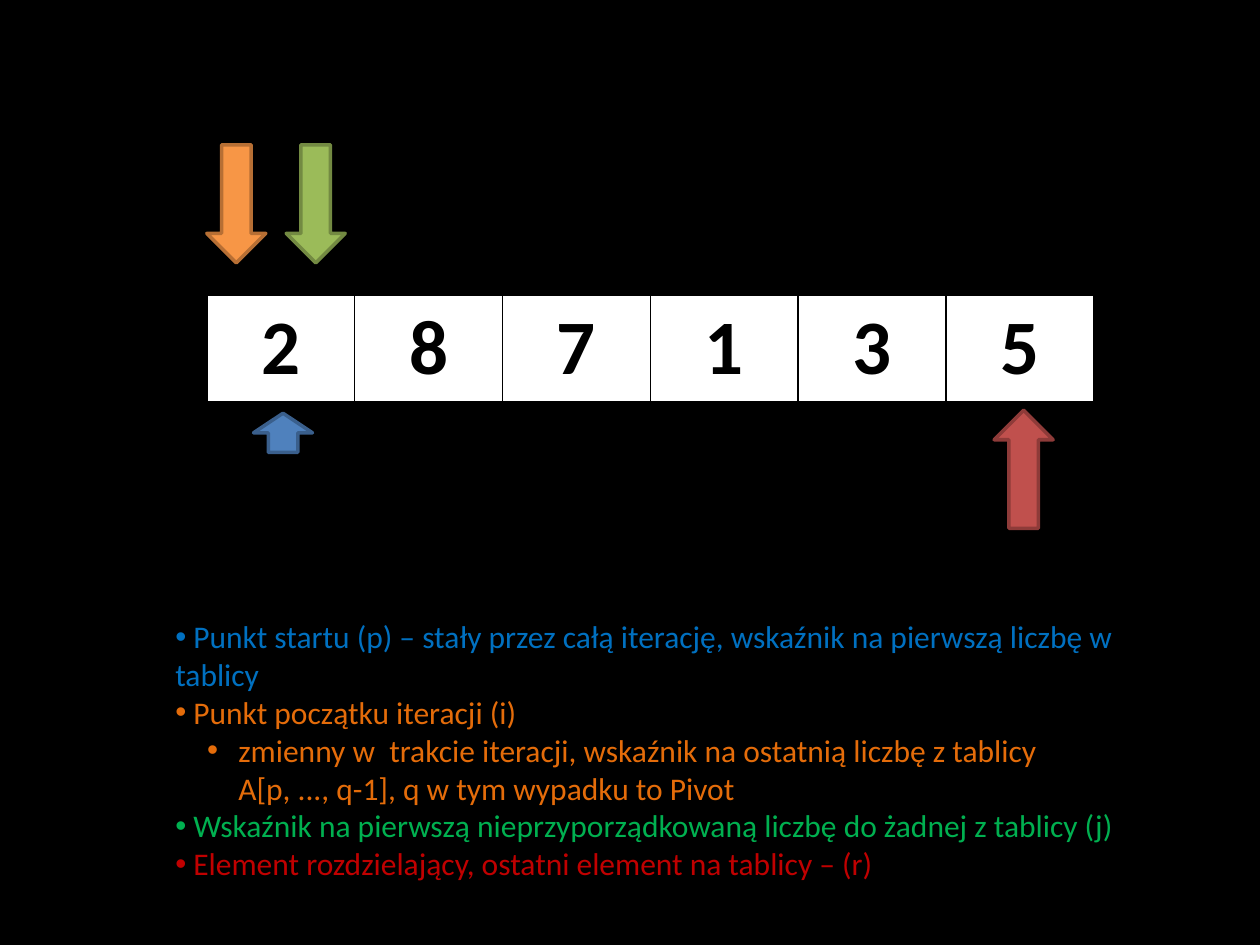
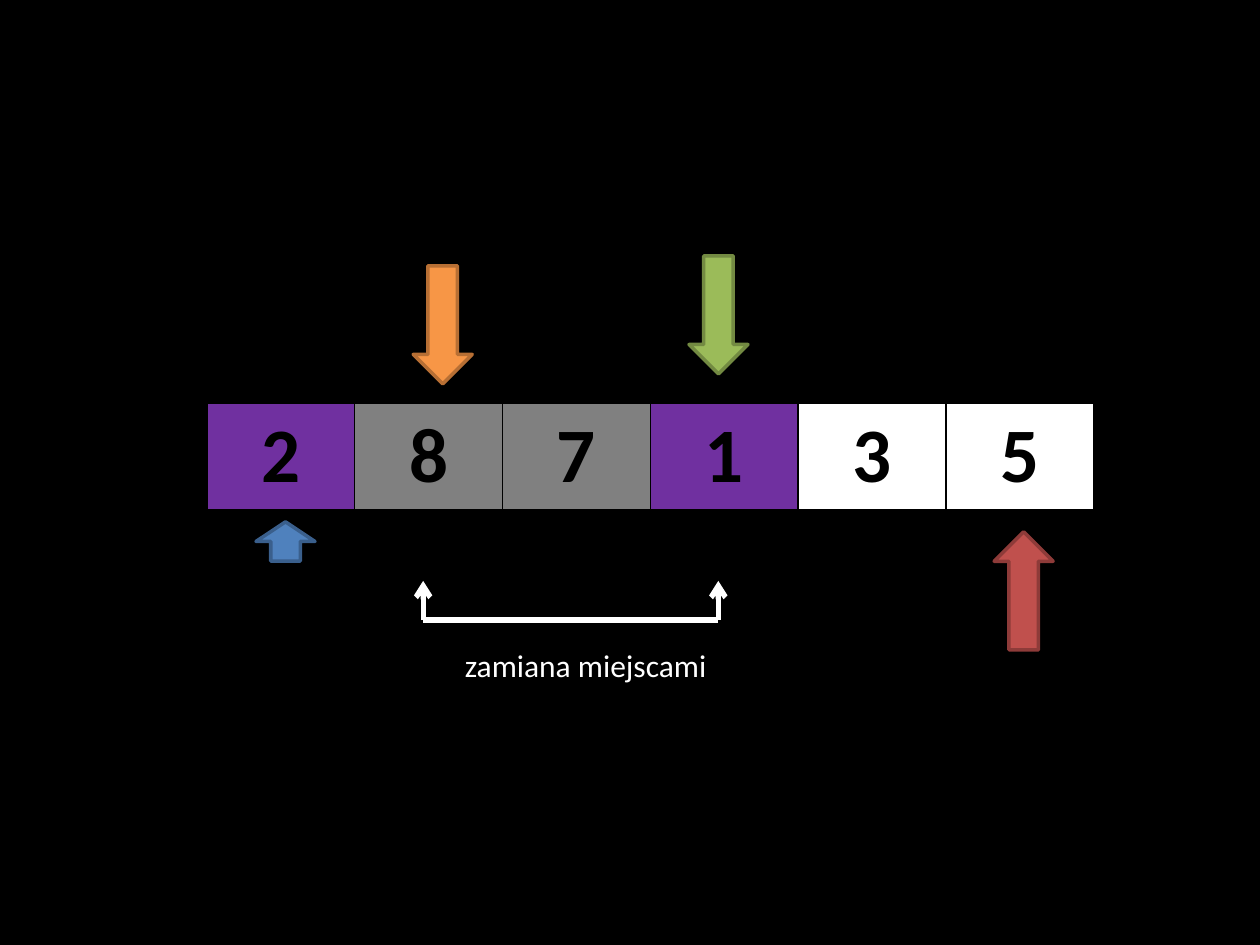
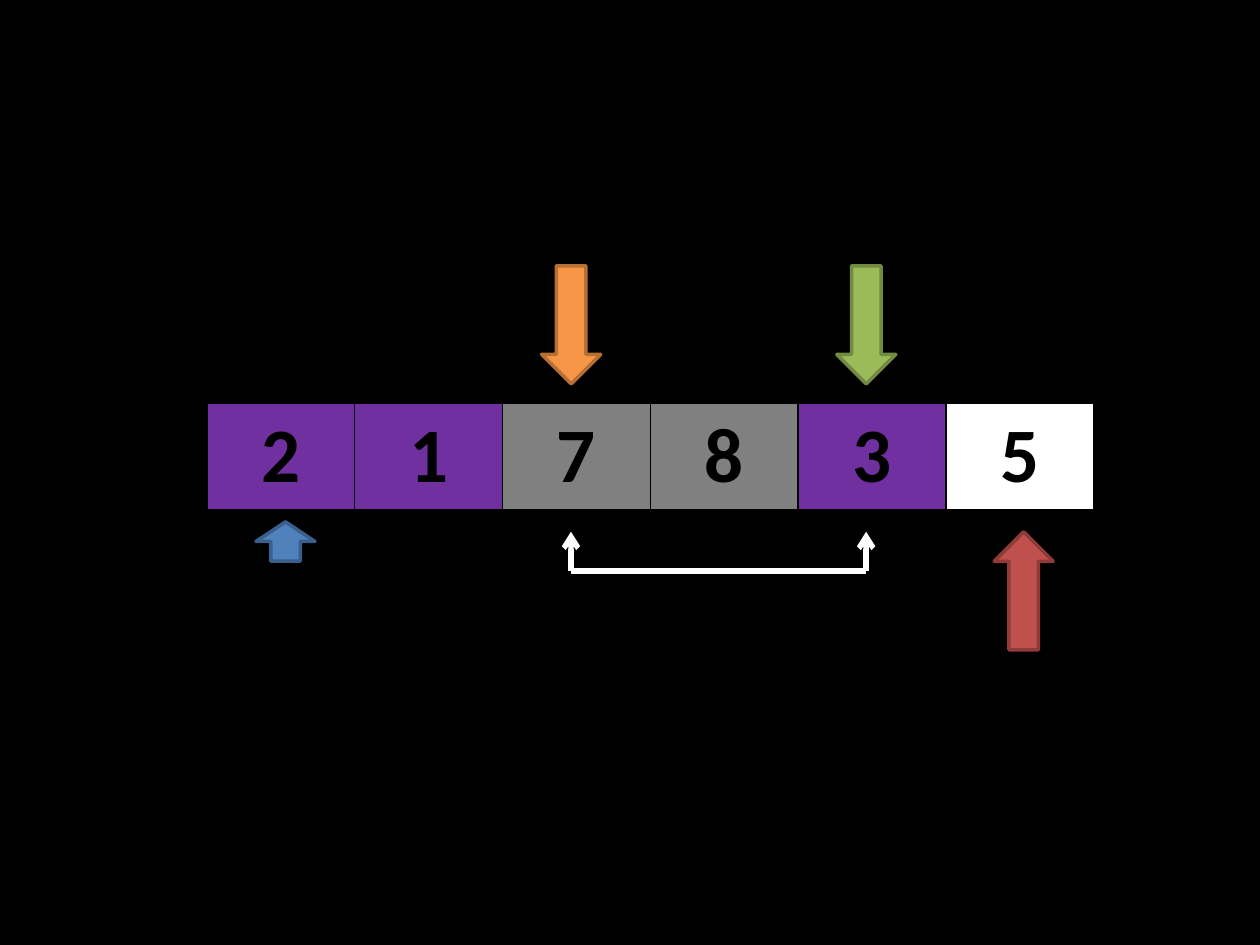
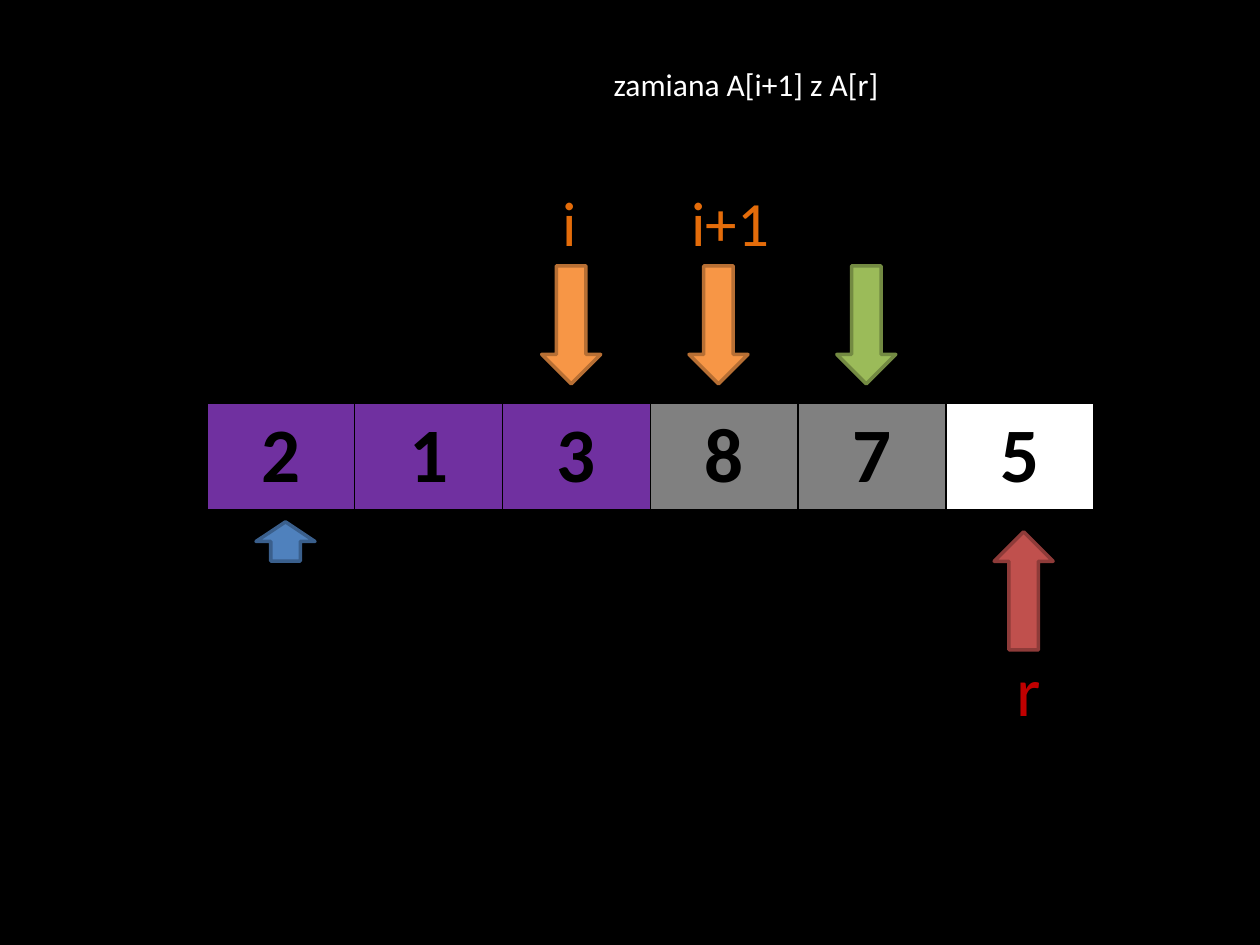
from copy import deepcopy
from dataclasses import dataclass

from lxml import etree
from pptx import Presentation
from pptx.dml.color import RGBColor
from pptx.enum import shapes, text
from pptx.oxml import ns
from pptx.util import Cm, Pt

# Shared look
FONT = "Calibri"
HUES = {
    "black": "000000", "white": "FFFFFF", "low": "7030A0", "high": "808080",
    "start": "0070C0", "iter": "E46C0A", "next": "00B050", "pivot": "C00000",
}
LEFT, TOP, COL, ROW = 4.17, 8.13, 2.98, 2.1
TIP = 5.36  # top of the arrows above the table


@dataclass(frozen=True)
class Kind:
    """Look of one pointer arrow."""
    fill: str
    edge: str
    high: float = 2.38
    turn: int = 0


KINDS = {
    "start": Kind("4F81BD", "3A5F8C", 0.79, 180),
    "iter": Kind("F79646", "B76F34"),
    "next": Kind("9BBB59", "738A42"),
    "pivot": Kind("C0504D", "8E3B39", turn=180),
}


@dataclass(frozen=True)
class Mark:
    """A pointer arrow in its place."""
    kind: str
    x: float
    y: float = TIP


@dataclass(frozen=True)
class Item:
    """One line of the legend."""
    words: str
    hue: str
    level: int = 0


# Pointers that stay in place on the later slides
FIXED = [Mark("pivot", 20.04, 10.72), Mark("start", 5.16, 10.52)]


def rgb(code: str) -> RGBColor:
    return RGBColor.from_string(HUES.get(code, code))


def tag(parent, name: str, **attrs: str):
    return etree.SubElement(parent, ns.qn(name), attrs)


def write(para, words: str, *, size: float = 18, hue: str = "white",
          bold: bool = False, align=None) -> None:
    """Fill a paragraph with formatted text."""
    para.text = words
    para.alignment = align
    for run in para.runs:
        run.font.name, run.font.size, run.font.bold = FONT, Pt(size), bold
        run.font.color.rgb = rgb(hue)
    for brk in para._p.findall(ns.qn("a:br")):
        brk.append(deepcopy(para.runs[0]._r.rPr))


def label(slide, words: str, x: float, y: float, w: float, h: float,
          wrap: bool = True, **form) -> None:
    box = slide.shapes.add_textbox(Cm(x), Cm(y), Cm(w), Cm(h))
    box.text_frame.word_wrap = wrap
    box.text_frame.auto_size = text.MSO_AUTO_SIZE.SHAPE_TO_FIT_TEXT
    write(box.text_frame.paragraphs[0], words, **form)


def array(slide, nums: str, fills: list[str], top: float = TOP) -> None:
    """Draw the sorted array as a one-row table."""
    count = len(nums)
    grid = slide.shapes.add_table(
        1, count, Cm(LEFT), Cm(top), Cm(COL * count), Cm(ROW)).table
    grid.first_row = grid.horz_banding = False
    grid.rows[0].height = Cm(ROW)
    for i, (num, fill) in enumerate(zip(nums, fills)):
        grid.columns[i].width = Cm(COL)
        cell = grid.cell(0, i)
        cell.vertical_anchor = text.MSO_ANCHOR.MIDDLE
        cell.fill.solid()
        cell.fill.fore_color.rgb = rgb(fill)
        write(cell.text_frame.paragraphs[0], num, size=44, hue="black",
              bold=True, align=text.PP_ALIGN.CENTER)
        props = cell._tc.get_or_add_tcPr()
        for n, side in enumerate("LRTB"):
            edge = tag(props, f"a:ln{side}", w=str(Pt(1)))
            tag(tag(edge, "a:solidFill"), "a:srgbClr", val=HUES["black"])
            props.insert(n, edge)


def point(slide, marks: list[Mark]) -> None:
    """Draw the pointer arrows."""
    for mark in marks:
        kind = KINDS[mark.kind]
        arrow = slide.shapes.add_shape(
            shapes.MSO_SHAPE.DOWN_ARROW,
            Cm(mark.x), Cm(mark.y), Cm(1.19), Cm(kind.high))
        arrow.rotation = kind.turn
        arrow.shadow.inherit = False
        arrow.fill.solid()
        arrow.fill.fore_color.rgb = rgb(kind.fill)
        arrow.line.color.rgb = rgb(kind.edge)
        arrow.line.width = Pt(2)


def swap(slide, x: float, y: float, w: float = 5.95, h: float = 0.79) -> None:
    """Draw the bracket that joins two swapped cells."""
    ends = [(x, x, y - h), (x + w, x + w, y - h), (x, x + w, y)]
    for x1, x2, y2 in ends:
        line = slide.shapes.add_connector(
            shapes.MSO_CONNECTOR.STRAIGHT, Cm(x1), Cm(y), Cm(x2), Cm(y2))
        line.line.color.rgb = rgb("white")
        line.line.width = Pt(3)
        if y2 != y:
            tag(line.line._get_or_add_ln(), "a:tailEnd", type="arrow")
        tag(line._element.spPr, "a:effectLst")


def legend(slide, items: list[Item]) -> None:
    """Fill the body placeholder with the coloured list."""
    body = slide.placeholders[1]
    body.left, body.top, body.width, body.height = map(
        Cm, (3.28, 12.32, 19.63, 6.6))
    frame = body.text_frame
    frame.auto_size = text.MSO_AUTO_SIZE.NONE
    for i, item in enumerate(items):
        para = frame.add_paragraph() if i else frame.paragraphs[0]
        write(para, item.words, hue=item.hue)
        para.level = item.level
        para.space_before = Pt(0)
        props = para._p.get_or_add_pPr()
        props.set("marL", str(Cm(1.27 * item.level)))
        props.set("indent", str(Cm(-0.63 * item.level)))
        tag(props, "a:buFont", typeface="Arial")
        tag(props, "a:buChar", char="•")


deck = Presentation()
deck.slide_width, deck.slide_height = Cm(25.4), Cm(19.05)
back = deck.slide_master.background.fill
back.solid()
back.fore_color.rgb = rgb("black")
LIST, BLANK = deck.slide_layouts[1], deck.slide_layouts[6]

# Slide 1: the pointers explained
page = deck.slides.add_slide(LIST)
title = page.shapes.title._element
title.getparent().remove(title)
array(page, "287135", ["white"] * 6, top=5.95)
point(page, [Mark("start", 5.11, 8.33), Mark("iter", 4.17, 2.92),
             Mark("next", 5.77, 2.92), Mark("pivot", 20.04, 8.27)])
legend(page, [
    Item(" Punkt startu (p) – stały przez całą iterację, "
         "wskaźnik na pierwszą liczbę w tablicy", "start"),
    Item(" Punkt początku iteracji (i) ", "iter"),
    Item("zmienny w  trakcie iteracji, wskaźnik na ostatnią liczbę z tablicy "
         "\vA[p, ..., q-1], q w tym wypadku to Pivot", "iter", 1),
    Item(" Wskaźnik na pierwszą nieprzyporządkowaną liczbę "
         "do żadnej z tablicy (j)", "next"),
    Item(" Element rozdzielający, ostatni element na tablicy – (r)", "pivot"),
])

# Slide 2: first swap
page = deck.slides.add_slide(BLANK)
array(page, "287135", ["low", "high", "high", "low", "white", "white"])
point(page, FIXED + [Mark("iter", 8.33), Mark("next", 13.89, 5.16)])
swap(page, 8.53, 12.5)
label(page, "zamiana miejscami", 9.12, 12.9, 7.14, 1.02)

# Slide 3: second swap
page = deck.slides.add_slide(BLANK)
array(page, "217835", ["low", "low", "high", "high", "low", "white"])
point(page, FIXED + [Mark("iter", 10.92), Mark("next", 16.87)])
swap(page, 11.51, 11.51)

# Slide 4: swap with the pivot
page = deck.slides.add_slide(BLANK)
array(page, "213875", ["low"] * 3 + ["high"] * 2 + ["white"])
point(page, FIXED + [Mark("iter", 10.92), Mark("next", 16.87),
                     Mark("iter", 13.89)])
label(page, "zamiana A[i+1] z A[r]", 12.12, 1.19, 5.94, 1.02)
label(page, "i", 11.1, 3.58, 0.81, 1.8, wrap=False, size=36, hue="iter")
label(page, "i+1", 13.69, 3.58, 2.08, 1.8, wrap=False, size=36, hue="iter")
label(page, "r", 20.24, 12.9, 1.98, 1.96, size=40, hue="pivot")

deck.save("out.pptx")
